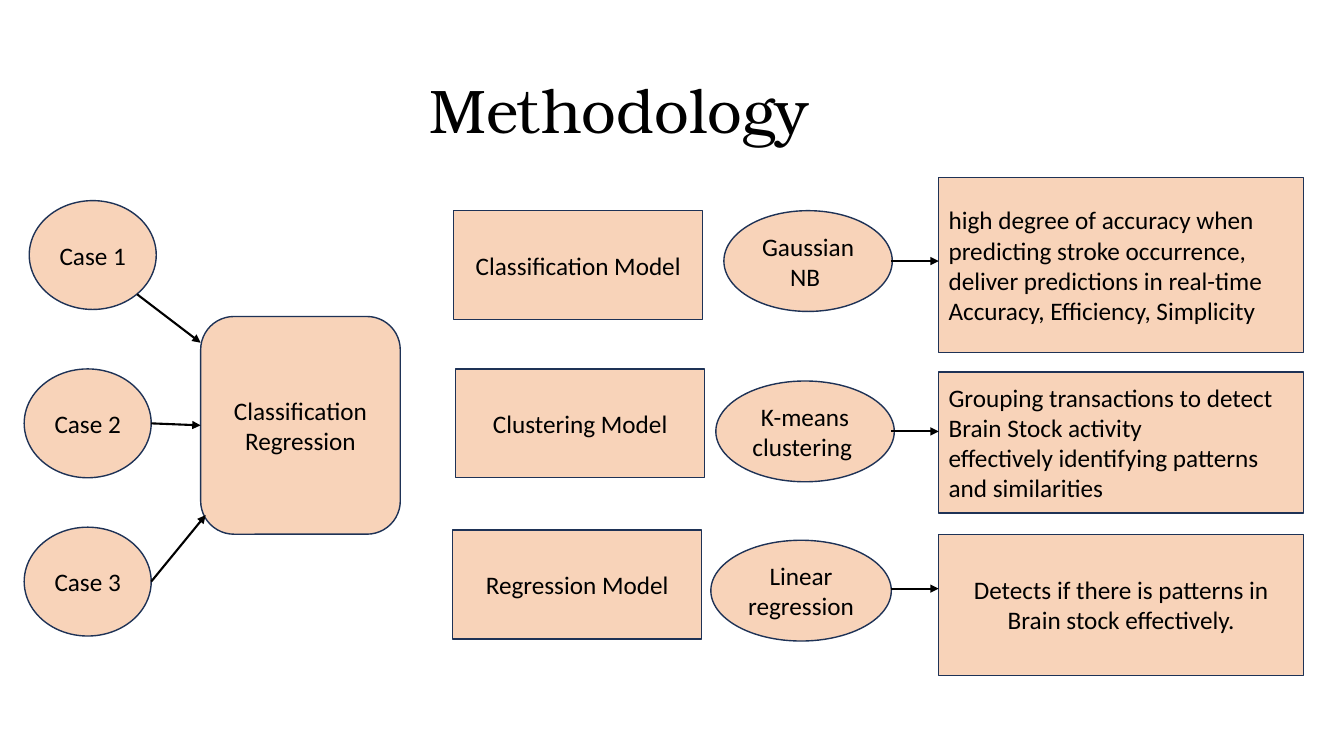
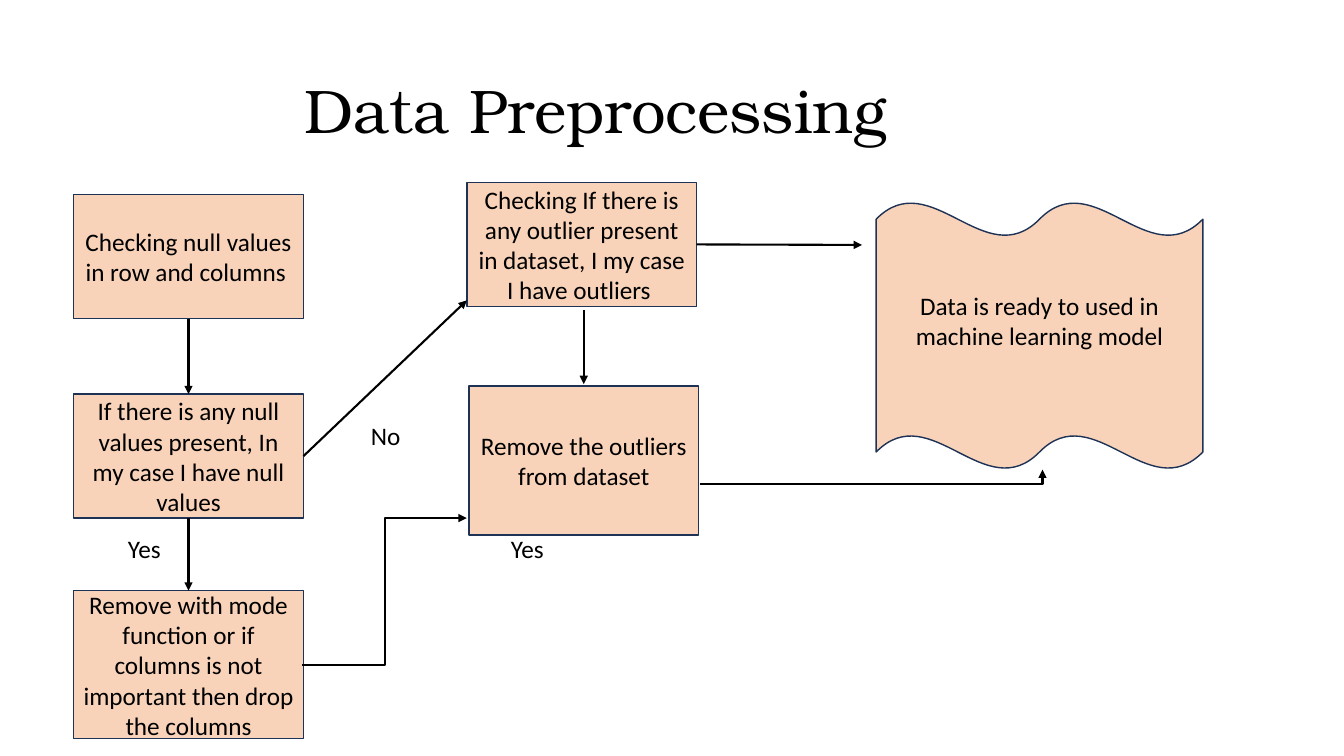
from collections import namedtuple

from pptx import Presentation
from pptx.dml.color import RGBColor
from pptx.enum.shapes import MSO_CONNECTOR, MSO_SHAPE
from pptx.enum.text import MSO_ANCHOR, MSO_AUTO_SIZE, PP_ALIGN
from pptx.oxml.ns import qn
from pptx.util import Emu, Pt
from lxml.etree import SubElement

PX = 9144
PEACH = RGBColor(0xF4, 0xB1, 0x83)
NAVY = RGBColor(0x1E, 0x32, 0x56)
BLACK = RGBColor(0, 0, 0)
BODY_FONT = "Calibri"
TITLE_FONT = "TeX Gyre Bonum"
FILL_ALPHA = 56

Box = namedtuple("Box", "left top width height")


def px(length):
    """Turn px into EMU."""
    return Emu(round(length * PX))


def inside(region, left, top, width, height):
    """Return a box placed relative to the corner of a region."""
    return Box(region.left + left, region.top + top, width, height)


def emu(box):
    """Return the four lengths of a box in EMU."""
    return [px(length) for length in box]


def put_text(frame, text, font=BODY_FONT, size=18, align=PP_ALIGN.LEFT,
             anchor=MSO_ANCHOR.MIDDLE, spacing=None, indent=0, bottom=5):
    """Write one paragraph per line of text in the given format."""
    frame.word_wrap = True
    frame.auto_size = MSO_AUTO_SIZE.NONE
    frame.vertical_anchor = anchor
    frame.margin_bottom = px(bottom)
    for index, line in enumerate(text.split("\n")):
        paragraph = frame.add_paragraph() if index else frame.paragraphs[0]
        paragraph.alignment = align
        paragraph.line_spacing = spacing
        if indent:
            properties = paragraph._p.get_or_add_pPr()
            properties.set("marL", str(px(indent)))
            properties.set("indent", "0")
        run = paragraph.add_run()
        run.text = line
        run.font.name = font
        run.font.size = Pt(size)
        run.font.color.rgb = BLACK


def add_node(slide, outline, box, text, align=PP_ALIGN.CENTER, **text_format):
    """Draw a translucent peach shape with its text."""
    node = slide.shapes.add_shape(outline, *emu(box))
    node.shadow.inherit = False
    node.fill.solid()
    node.fill.fore_color.rgb = PEACH
    tint = node._element.spPr.find(qn("a:solidFill"))[0]
    SubElement(tint, qn("a:alpha")).set("val", str(FILL_ALPHA * 1000))
    node.line.color.rgb = NAVY
    node.line.width = Pt(1)
    put_text(node.text_frame, text, align=align, **text_format)
    return node


def add_answer(slide, box, text):
    """Place a branch answer beside an arrow."""
    answer = slide.shapes.add_textbox(*emu(box))
    put_text(answer.text_frame, text, anchor=MSO_ANCHOR.TOP)


def add_arrow(slide, start, end, begin=None, finish=None, bend=None):
    """Draw an arrow, bent at a share of its width and joined to nodes."""
    kind = MSO_CONNECTOR.STRAIGHT if bend is None else MSO_CONNECTOR.ELBOW
    arrow = slide.shapes.add_connector(kind, *emu(start + end))
    if begin:
        arrow.begin_connect(*begin)
    if finish:
        arrow.end_connect(*finish)
    arrow.line.color.rgb = BLACK
    arrow.line.width = Pt(1.5)
    properties = arrow._element.spPr
    SubElement(properties.find(qn("a:ln")), qn("a:tailEnd")).set("type", "triangle")
    SubElement(properties, qn("a:effectLst"))
    if bend is not None:
        geometry = properties.find(qn("a:prstGeom"))
        adjustments = geometry.find(qn("a:avLst"))
        if adjustments is None:
            adjustments = SubElement(geometry, qn("a:avLst"))
        guide = SubElement(adjustments, qn("a:gd"))
        guide.set("name", "adj1")
        guide.set("fmla", f"val {round(bend * 100000)}")


def add_titled_slide(deck, title, indent):
    """Add a title-only slide with the shared title style."""
    slide = deck.slides.add_slide(deck.slide_layouts[5])
    heading = slide.shapes.title
    heading.left, heading.top, heading.width, heading.height = emu(Box(92, 40, 1150, 145))
    put_text(heading.text_frame, title, font=TITLE_FONT, size=44,
             spacing=0.9, indent=indent)
    return slide


def draw_cases(slide, region):
    """Draw the three cases that lead to the task."""
    task = add_node(slide, MSO_SHAPE.ROUNDED_RECTANGLE,
                    inside(region, 175, 115, 198, 216), "Classification\nRegression")
    rows = [
        (5, 0, (112, 93), (175, 141), None),
        (0, 167, (126, 221), (175, 223), (task, 1)),
        (0, 324, (126, 378), (180, 312), None),
    ]
    for number, (left, top, start, end, finish) in enumerate(rows, 1):
        add_node(slide, MSO_SHAPE.OVAL, inside(region, left, top, 126, 108), f"Case {number}")
        add_arrow(slide, inside(region, *start, 0, 0)[:2],
                  inside(region, *end, 0, 0)[:2], finish=finish)


def draw_models(slide, region):
    """Draw each model with its algorithm and outcome."""
    rows = [
        ("Classification Model", (1, 33), "GaussianNB ", (269, 33, 167),
         "high degree of accuracy when predicting stroke occurrence, "
         "deliver predictions in real-time\nAccuracy, Efficiency, Simplicity",
         (0, 174), PP_ALIGN.LEFT, 83),
        ("Clustering Model", (3, 190), "K-means clustering ", (261, 202, 177),
         "Grouping transactions to detect Brain Stock activity\n"
         "effectively identifying patterns and similarities",
         (193, 140), PP_ALIGN.LEFT, 252),
        ("Regression Model", (0, 350), "Linear regression ", (256, 360, 179),
         "Detects if there is patterns in Brain stock effectively.",
         (354, 140), PP_ALIGN.CENTER, 408),
    ]
    for model, model_at, algorithm, algorithm_at, outcome, (top, height), align, level in rows:
        add_node(slide, MSO_SHAPE.RECTANGLE, inside(region, *model_at, 247, 108), model)
        add_node(slide, MSO_SHAPE.OVAL, inside(region, *algorithm_at, 100), algorithm)
        add_node(slide, MSO_SHAPE.RECTANGLE, inside(region, 482, top, 362, height),
                 outcome, align=align)
        level += region.top
        add_arrow(slide, (region.left + 435, level), (region.left + 482, level))


def draw_null_steps(slide, region):
    """Draw the column of null-value steps and return its nodes."""
    steps = [
        (0, 123, "Checking null values in row and columns "),
        (198, 123, "If there is any null values present, In my case I have null values"),
        (393, 147, "Remove with mode function or if columns is not important "
                   "then drop the columns"),
    ]
    nodes = [add_node(slide, MSO_SHAPE.RECTANGLE,
                      inside(region, 0, top, region.width, height), text)
             for top, height, text in steps]
    for upper, lower in zip(nodes, nodes[1:]):
        add_arrow(slide, (0, 0), (0, 0), begin=(upper, 2), finish=(lower, 0))
    add_answer(slide, inside(region, 44, 331, 70, 40), "Yes")
    return nodes


def draw_outlier_steps(slide, region):
    """Draw the column of outlier steps and return the check."""
    check = add_node(slide, MSO_SHAPE.RECTANGLE, inside(region, 0, 0, region.width, 123),
                     "Checking If there is any outlier present in dataset, "
                     "I my case I have outliers ")
    add_node(slide, MSO_SHAPE.RECTANGLE, inside(region, 2, 202, region.width, 148),
             "Remove the outliers from dataset")
    middle = region.left + 116
    add_arrow(slide, (middle, region.top + 127), (middle, region.top + 200))
    add_answer(slide, inside(region, 34, 343, 70, 40), "Yes")
    return check


def build_methodology(deck):
    """Build the methodology slide."""
    slide = add_titled_slide(deck, "Methodology", indent=324)
    draw_cases(slide, Box(24, 199, 373, 432))
    draw_models(slide, Box(449, 176, 844, 494))


def build_preprocessing(deck):
    """Build the data preprocessing slide."""
    slide = add_titled_slide(deck, "Data Preprocessing", indent=200)
    nulls = Box(73, 193, 228, 540)
    outliers = Box(463, 181, 228, 350)
    ready = Box(869, 201, 324, 264)
    null_nodes = draw_null_steps(slide, nulls)
    outlier_check = draw_outlier_steps(slide, outliers)
    add_node(slide, MSO_SHAPE.DOUBLE_WAVE, ready,
             "Data is ready to used in machine learning model", bottom=35)
    nulls_right = nulls.left + nulls.width
    outliers_right = outliers.left + outliers.width
    add_arrow(slide, (nulls_right, 452), (outliers.left, 298), begin=(null_nodes[1], 3))
    add_answer(slide, Box(358, 412, 70, 40), "No")
    add_arrow(slide, (nulls_right - 1, 660), (outliers.left, 514), bend=0.5)
    add_arrow(slide, (outliers_right, 243), (ready.left - 14, 243), begin=(outlier_check, 3))
    add_arrow(slide, (outliers_right + 3, 480), (1034, 466), bend=1)


def main():
    """Build and save the deck."""
    deck = Presentation()
    deck.slide_width, deck.slide_height = px(1333), px(750)
    build_methodology(deck)
    build_preprocessing(deck)
    deck.save("out.pptx")


if __name__ == "__main__":
    main()
